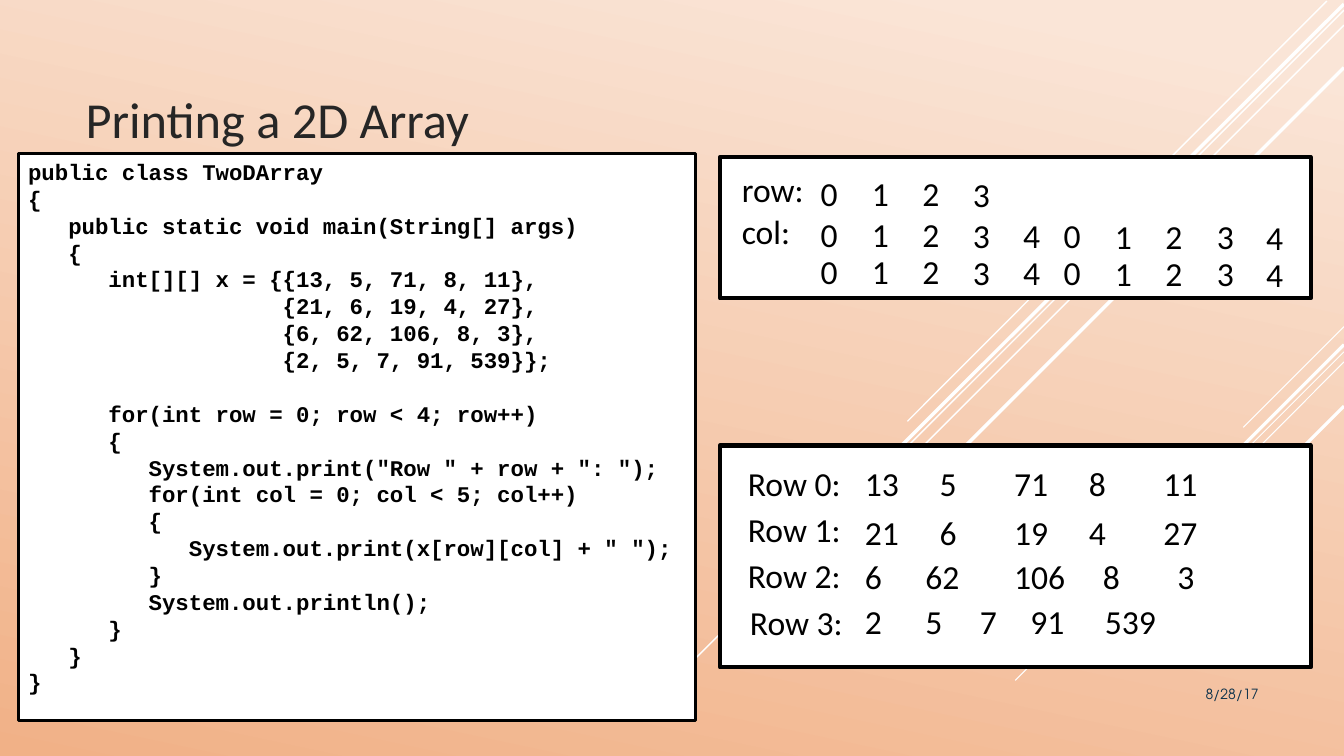
"""Build the slide on printing a 2D array."""
from dataclasses import dataclass

from lxml import etree
from pptx import Presentation
from pptx.dml.color import RGBColor
from pptx.enum import shapes, text
from pptx.oxml import ns
from pptx.util import Emu, Pt

PX = 9144
BLACK, WHITE = "000000", "FFFFFF"
CODE = """public class TwoDArray
{
   public static void main(String[] args)
   {
      int[][] x = {{13, 5, 71, 8, 11},
                   {21, 6, 19, 4, 27},
                   {6, 62, 106, 8, 3},
                   {2, 5, 7, 91, 539}};
      
      for(int row = 0; row < 4; row++)
      {
         System.out.print("Row " + row + ": ");
         for(int col = 0; col < 5; col++)
         {
            System.out.print(x[row][col] + " ");
         }
         System.out.println();
      }
   }
}"""


@dataclass
class Ray:
    """A diagonal stripe, ends in px and width in points."""
    x1: int
    y1: int
    x2: int
    y2: int
    width: float


@dataclass
class Box:
    """A place on the slide in px."""
    x: int
    y: int
    w: int
    h: int


@dataclass
class Row:
    """A label and the values after it; each third value sits drop px lower."""
    label: str
    start: Box
    y: int
    xs: list[int]
    words: list[str]
    drop: int = 0


RAYS = [
    Ray(1333, 324, 1233, 424, .75), Ray(1333, 349, 1007, 675, .75),
    Ray(1333, 359, 1126, 567, .75), Ray(1333, 342, 1142, 533, 2.25),
    Ray(1333, 403, 1194, 542, 2.25), Ray(1316, 1, 900, 418, 1),
    Ray(1333, 10, 668, 675, 1), Ray(1333, 25, 791, 567, 1),
    Ray(1333, 4, 802, 534, 2.5), Ray(1333, 67, 858, 542, 2.5),
]
EVEN = [848 + 74 * i for i in range(5)]
TRACE = [804, 855, 905, 955, 1005, 1045, 1096, 1146, 1197, 1246]
COLS = list("0123401234")
ROWS = [
    Row("row:", Box(726, 163, 114, 59), 167, TRACE, list("0123"), 1),
    Row("col:", Box(726, 204, 114, 59), 207, TRACE, COLS, 1),
    Row("", Box(726, 244, 114, 59), 244, TRACE, COLS, 1),
    Row("Row 0:", Box(732, 454, 114, 59), 454, EVEN, "13 5 71 8 11".split()),
    Row("Row 1:", Box(732, 500, 114, 59), 503, EVEN, "21 6 19 4 27".split()),
    Row("Row 2:", Box(732, 546, 114, 59), 547,
        [848, 908, 996, 1084, 1158], "6 62 106 8 3".split()),
    Row("Row 3:", Box(734, 592, 114, 59), 591,
        [848, 908, 962, 1012, 1086], "2 5 7 91 539".split()),
]


def px(n: int) -> Emu:
    """Turn px into EMU."""
    return Emu(n * PX)


def hue(code: str) -> RGBColor:
    """Turn a hex string into a colour."""
    return RGBColor.from_string(code)


def spot(box: Box) -> list[Emu]:
    """List the four lengths of a box."""
    return [px(n) for n in (box.x, box.y, box.w, box.h)]


def write(shape, words: str, *, size: int = 24, face: str = "Calibri",
          tint: str = BLACK, bold: bool = False, side=text.PP_ALIGN.LEFT,
          hold=text.MSO_ANCHOR.TOP, after: int = 0, lead=None) -> None:
    """Put formatted text into a shape."""
    frame = shape.text_frame
    frame.word_wrap, frame.vertical_anchor = True, hold
    para = frame.paragraphs[0]
    para.text, para.alignment = words, side
    para.space_after = Pt(after)
    if lead:
        para.line_spacing = Pt(lead)
    for run in para.runs:
        font = run.font
        font.size, font.name, font.bold = Pt(size), face, bold
        font.color.rgb = hue(tint)


def note(slide, box: Box, words: str, **look) -> None:
    """Add a text box."""
    write(slide.shapes.add_textbox(*spot(box)), words, **look)


def panel(slide, box: Box, width: float):
    """Add a white panel with a black edge."""
    shape = slide.shapes.add_shape(shapes.MSO_SHAPE.RECTANGLE, *spot(box))
    shape.shadow.inherit = False
    shape.fill.solid()
    shape.fill.fore_color.rgb = hue(WHITE)
    shape.line.color.rgb = hue(BLACK)
    shape.line.width = Pt(width)
    return shape


def streak(slide, ray: Ray) -> None:
    """Draw one white stripe."""
    ends = [px(n) for n in (ray.x1, ray.y1, ray.x2, ray.y2)]
    line = slide.shapes.add_connector(shapes.MSO_CONNECTOR.STRAIGHT, *ends)
    line.line.color.rgb = hue(WHITE)
    line.line.width = Pt(ray.width)
    etree.SubElement(line._element.spPr, ns.qn("a:effectLst"))


def paint(slide) -> None:
    """Fill the background with a gradient."""
    fill = slide.background.fill
    fill.gradient()
    fill.gradient_angle = 258
    for stop, code, place in zip(fill.gradient_stops, ("FAE5D7", "F1B187"), (.07, 1)):
        stop.color.rgb, stop.position = hue(code), place


def fill_row(slide, row: Row) -> None:
    """Write a label and its values."""
    look = {"side": text.PP_ALIGN.JUSTIFY, "after": 6}
    if row.label:
        note(slide, row.start, row.label, **look)
    for i, (x, word) in enumerate(zip(row.xs, row.words)):
        note(slide, Box(x, row.y + i // 3 * row.drop, 72, 59), word, **look)


def main() -> None:
    """Build and save the slide."""
    deck = Presentation()
    deck.slide_width, deck.slide_height = px(1333), px(750)
    slide = deck.slides.add_slide(deck.slide_layouts[6])
    paint(slide)
    for ray in RAYS:
        streak(slide, ray)
    note(slide, Box(75, 49, 875, 103), "Printing a 2D Array", size=36,
         tint="262626", hold=text.MSO_ANCHOR.BOTTOM)
    note(slide, Box(1083, 675, 175, 40), "8/28/17", size=10,
         face="TeX Gyre Adventor", tint="0A304A", side=text.PP_ALIGN.RIGHT)
    panel(slide, Box(714, 156, 586, 140), 3)
    panel(slide, Box(714, 442, 586, 220), 3)
    for row in ROWS:
        fill_row(slide, row)
    code = panel(slide, Box(18, 152, 672, 563), 2.25)
    write(code, CODE, size=16, face="Courier New", bold=True, lead=19.2)
    deck.save("out.pptx")


if __name__ == "__main__":
    main()
